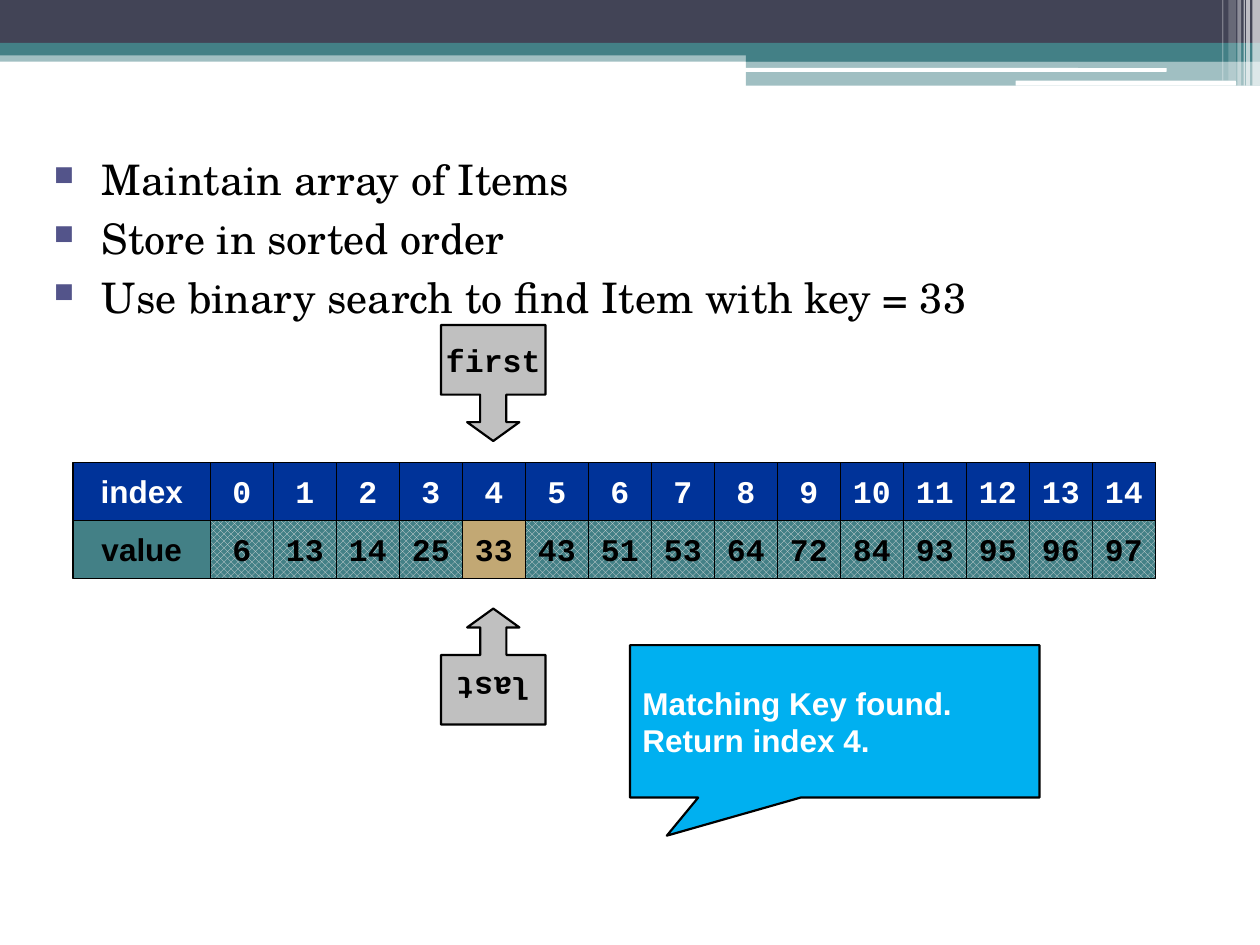
from dataclasses import dataclass
from typing import Optional

from lxml import etree
from pptx import Presentation
from pptx.dml.color import RGBColor
from pptx.enum.dml import MSO_PATTERN
from pptx.enum.shapes import MSO_SHAPE
from pptx.enum.text import MSO_ANCHOR, PP_ALIGN
from pptx.oxml.ns import qn
from pptx.util import Inches, Pt

RECT = MSO_SHAPE.RECTANGLE
ROUND = MSO_SHAPE.ROUNDED_RECTANGLE
ARROW = MSO_SHAPE.DOWN_ARROW_CALLOUT
WEDGE = MSO_SHAPE.RECTANGULAR_CALLOUT
DIAMOND = MSO_PATTERN.OUTLINED_DIAMOND
MIDDLE = MSO_ANCHOR.MIDDLE
LEFT, CENTER = PP_ALIGN.LEFT, PP_ALIGN.CENTER


@dataclass(frozen=True)
class Theme:
    slate: str = "424456"
    teal: str = "438086"
    white: str = "FFFFFF"
    black: str = "000000"
    navy: str = "003399"
    mesh: str = "DEDEDE"
    tan: str = "C2A874"
    gray: str = "C0C0C0"
    sky: str = "00B0F0"
    mark: str = "53548A"
    serif: str = "TeX Gyre Schola"
    sans: str = "Arial"
    mono: str = "Courier New"
    body: float = 24
    label: float = 18
    thin: float = 0.75
    thick: float = 1.25


T = Theme()


@dataclass(frozen=True)
class Band:
    left: float
    top: float
    width: float
    height: float
    fill: str
    alpha: int = 100
    kind: int = RECT


@dataclass(frozen=True)
class Box:
    left: float
    top: float
    width: float
    height: float
    text: str
    fill: str
    color: str = T.black
    face: str = T.mono
    kind: int = RECT
    line: float = T.thin
    adjust: tuple = ()
    turn: float = 0
    align: int = CENTER
    wrap: bool = False
    mesh: Optional[str] = None


def rgb(code: str) -> RGBColor:
    return RGBColor.from_string(code)


def add_part(slide, part):
    """Add the filled outline shared by bands and boxes."""
    shape = slide.shapes.add_shape(
        part.kind, Inches(part.left), Inches(part.top),
        Inches(part.width), Inches(part.height))
    shape.shadow.inherit = False
    shape.fill.solid()
    shape.fill.fore_color.rgb = rgb(part.fill)
    return shape


def draw_band(slide, band: Band) -> None:
    shape = add_part(slide, band)
    shape.line.fill.background()
    if band.alpha < 100:
        color = shape.fill._xPr.find(f"{qn('a:solidFill')}/{qn('a:srgbClr')}")
        etree.SubElement(color, qn("a:alpha"), val=str(band.alpha * 1000))


def draw_box(slide, box: Box) -> None:
    shape = add_part(slide, box)
    if box.mesh:
        shape.fill.patterned()
        shape.fill.pattern = DIAMOND
        shape.fill.fore_color.rgb = rgb(box.mesh)
        shape.fill.back_color.rgb = rgb(box.fill)
    shape.line.color.rgb = rgb(T.black)
    shape.line.width = Pt(box.line)
    for i, value in enumerate(box.adjust):
        shape.adjustments[i] = value
    shape.rotation = box.turn

    frame = shape.text_frame
    frame.text = box.text
    frame.word_wrap = box.wrap
    frame.vertical_anchor = MIDDLE
    para = frame.paragraphs[0]
    para.alignment = box.align
    font = para.runs[0].font
    font.name, font.size, font.bold = box.face, Pt(T.label), True
    font.color.rgb = rgb(box.color)


def draw_list(slide, items: list[str]) -> None:
    area = slide.shapes.add_textbox(
        Inches(0.33), Inches(1.17), Inches(9.33), Inches(1.75))
    frame = area.text_frame
    frame.word_wrap = True
    frame.text = "\n".join(items)
    for i, para in enumerate(frame.paragraphs):
        props = para._p.get_or_add_pPr()
        props.set("marL", str(Inches(0.38)))
        props.set("indent", str(-Inches(0.38)))
        if i:
            para.space_before = Pt(0.2 * T.body)
        tint = etree.SubElement(props, qn("a:buClr"))
        etree.SubElement(tint, qn("a:srgbClr"), val=T.mark)
        etree.SubElement(props, qn("a:buSzPct"), val="65000")
        etree.SubElement(props, qn("a:buChar"), char="■")
        font = para.runs[0].font
        font.name, font.size = T.serif, Pt(T.body)
        font.color.rgb = rgb(T.black)


BANDS = [
    Band(0, 0.4, 10, 0.09, T.teal, 50),
    Band(0, 0, 10, 0.34, T.slate),
    Band(0, 0.34, 10, 0.1, T.teal),
    Band(5.92, 0.39, 4.08, 0.1, T.teal),
    Band(5.92, 0.48, 4.08, 0.2, T.teal, 50),
    Band(5.91, 0.54, 3.35, 0.03, T.white, kind=ROUND),
    Band(8.06, 0.64, 1.75, 0.04, T.white, kind=ROUND),
    Band(9.94, 0, 0.06, 0.68, T.white, 65),
    Band(9.89, 0, 0.03, 0.68, T.white, 65),
    Band(9.87, 0, 0.01, 0.68, T.white, 60),
    Band(9.82, 0, 0.03, 0.68, T.white, 40),
    Band(9.75, 0, 0.06, 0.64, T.white, 20),
    Band(9.7, 0, 0.01, 0.64, T.white, 30),
]
ITEMS = [
    "Maintain array of Items",
    "Store in sorted order",
    "Use binary search to find Item with key = 33",
]
VALUES = [6, 13, 14, 25, 33, 43, 51, 53, 64, 72, 84, 93, 95, 96, 97]
KEY = 33

# Array grid
HEAD, START, STEP = 0.58, 1.67, 0.5
TOP, ROW = 3.67, 0.46
BELOW = TOP + ROW


def draw_array(slide) -> None:
    for text, top, fill, color in (("index", TOP, T.navy, T.white),
                                   ("value", BELOW, T.teal, T.black)):
        draw_box(slide, Box(HEAD, top, START - HEAD, ROW, text, fill,
                            color, T.sans))
    for i, value in enumerate(VALUES):
        left = START + i * STEP
        found = value == KEY
        draw_box(slide, Box(left, TOP, STEP, ROW, str(i), T.navy, T.white))
        draw_box(slide, Box(left, BELOW, STEP, ROW, str(value),
                            T.tan if found else T.teal,
                            mesh=None if found else T.mesh))


def main() -> None:
    deck = Presentation()
    deck.slide_width, deck.slide_height = Inches(10), Inches(7.5)
    slide = deck.slides.add_slide(deck.slide_layouts[6])

    # Top banner
    for band in BANDS:
        draw_band(slide, band)

    draw_array(slide)

    # Pointers at both ends of the search range
    for text, top, turn in (("first", 2.58, 0), ("last", 4.83, 180)):
        draw_box(slide, Box(3.5, top, 0.83, 0.92, text, T.gray, kind=ARROW,
                            line=T.thick, turn=turn,
                            adjust=(0.25, 0.25, 0.18, 0.6)))

    # Result
    draw_box(slide, Box(5, 5.12, 3.25, 1.21,
                        "Matching Key found. Return index 4.", T.sky,
                        T.white, T.sans, WEDGE, T.thick, (-0.41, 0.75),
                        align=LEFT, wrap=True))

    draw_list(slide, ITEMS)
    deck.save("out.pptx")


if __name__ == "__main__":
    main()
